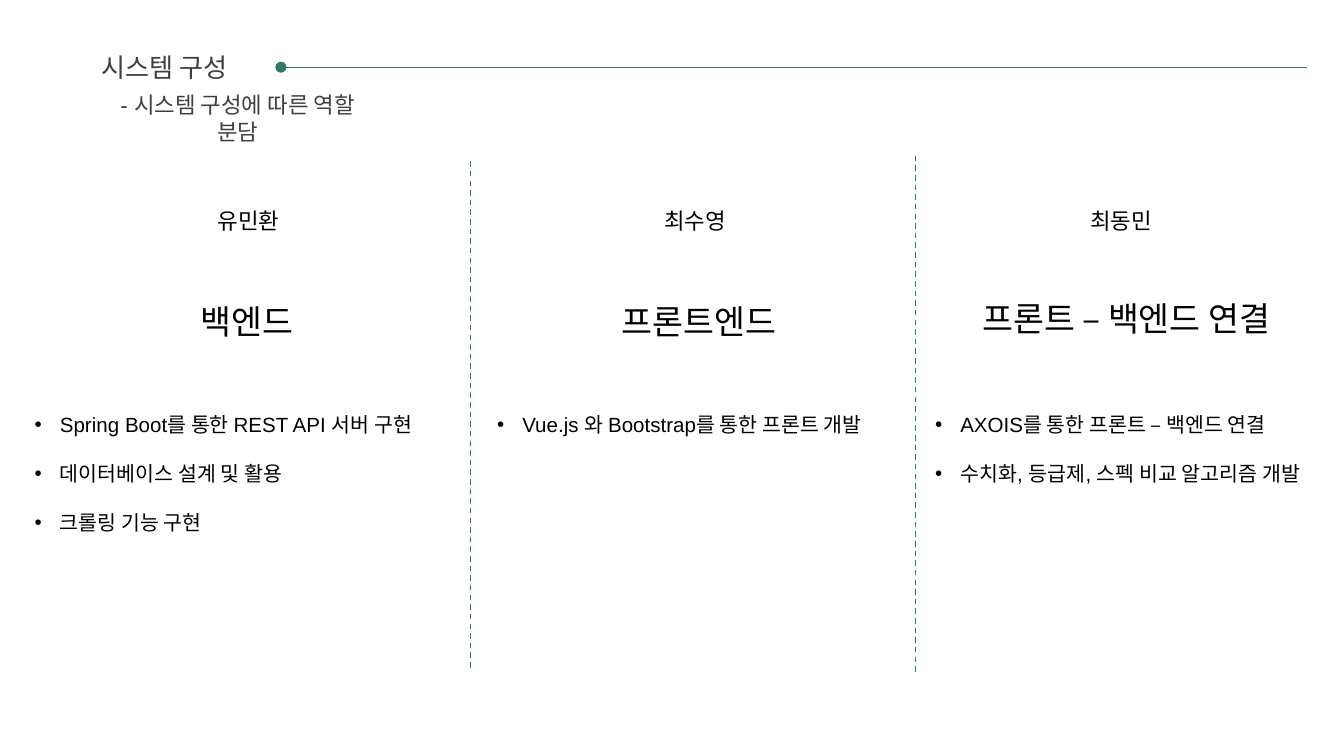
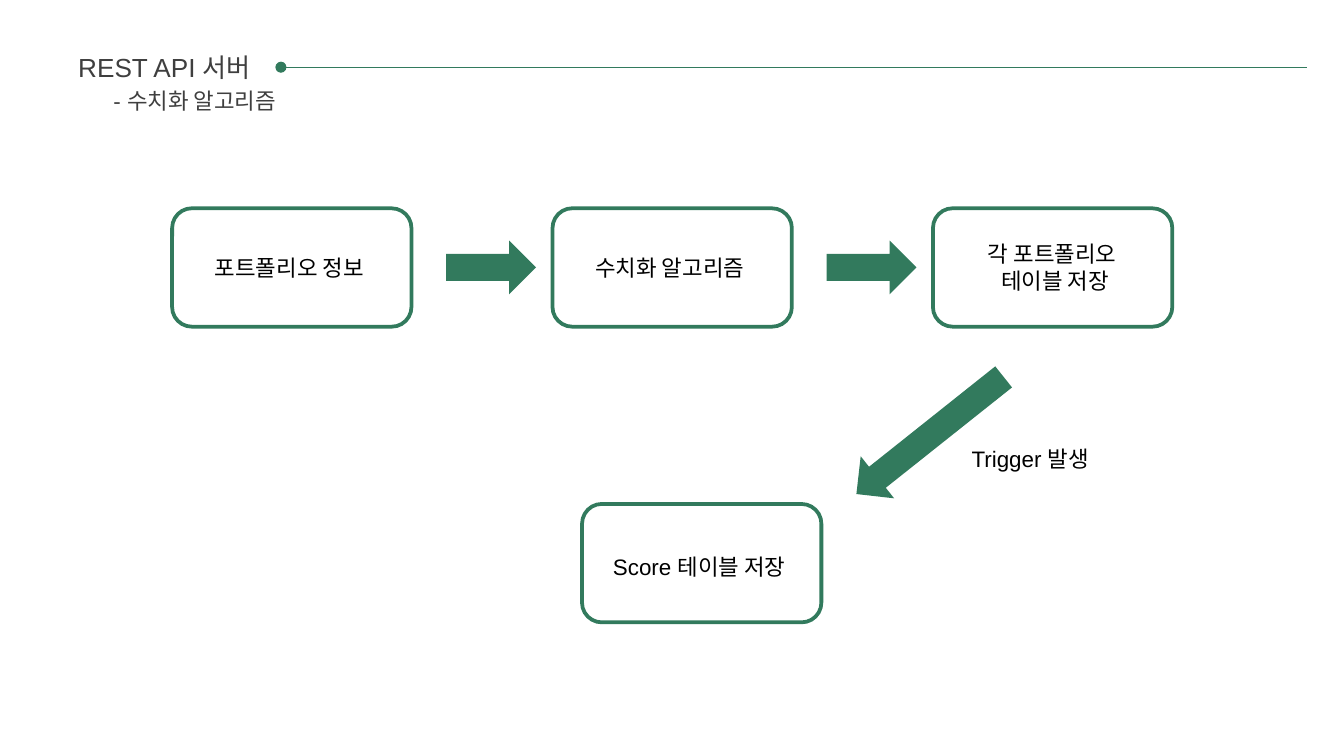
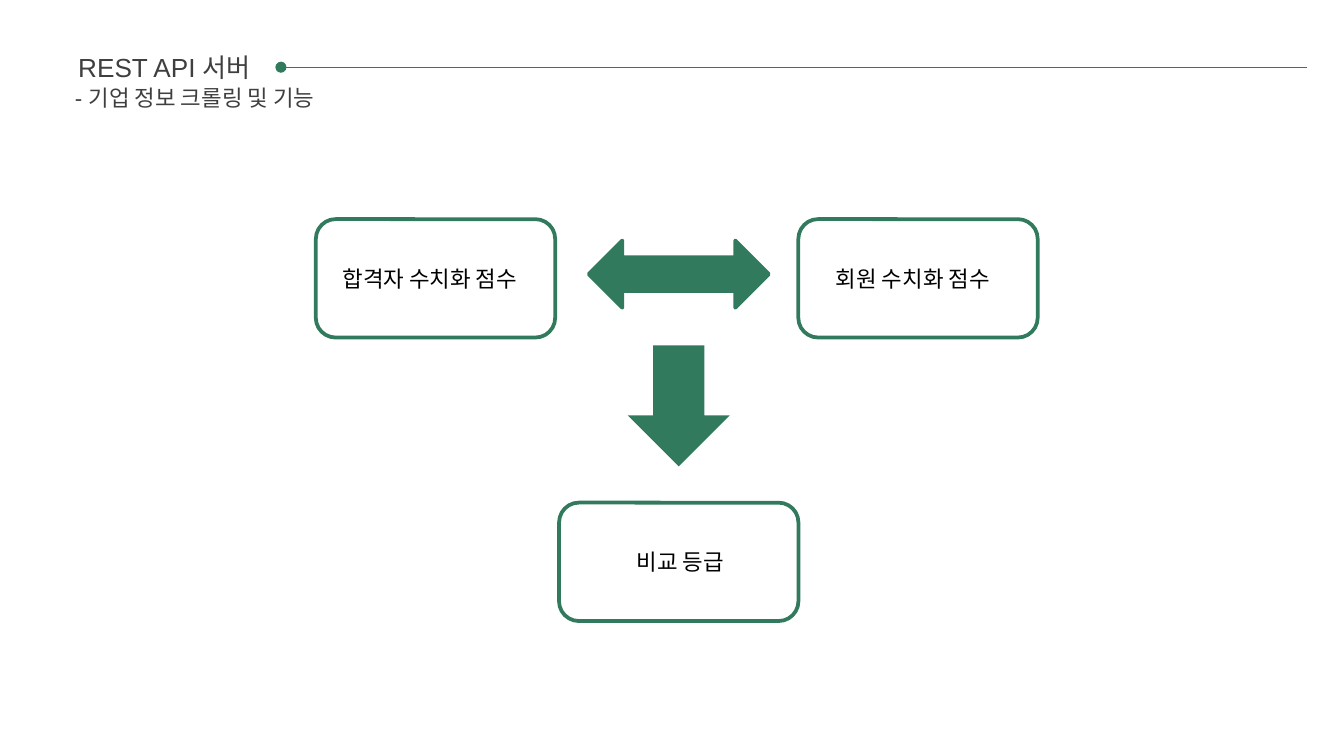
from dataclasses import dataclass

from pptx import Presentation
from pptx.dml.color import RGBColor as RGB
from pptx.enum.dml import MSO_LINE
from pptx.enum.shapes import MSO_CONNECTOR, MSO_SHAPE as SHAPE
from pptx.enum.text import MSO_ANCHOR, MSO_AUTO_SIZE, PP_ALIGN as ALIGN
from pptx.oxml.ns import qn
from pptx.util import Pt
from lxml.etree import SubElement


@dataclass(frozen=True)
class Theme:
    font: str = "Arial"
    green: RGB = RGB(0x32, 0x7A, 0x5D)
    heading: RGB = RGB(0x3F, 0x3F, 0x3F)
    ink: RGB = RGB(0, 0, 0)
    title: int = 14
    role: int = 18
    body: int = 12
    task: int = 11
    thin: float = 0.75
    thick: float = 2


T = Theme()

# Content: team roles; each part is placed by (left, top, width)
TEAM = {
    "title": "시스템 구성",
    "subtitle": ("- 시스템 구성에 따른 역할 분담", 48.2, 45.4),
    "dividers": [(252, 86.4, 358.6), (490.3, 83.5, 361.4)],
    "members": [
        dict(name="유민환", name_x=36.7, role="백엔드", role_at=(20.2, 157.7, 224),
             task_x=11.5, task_w=242.6,
             tasks=["Spring Boot를 통한 REST API 서버 구현",
                    "데이터베이스 설계 및 활용", "크롤링 기능 구현"]),
        dict(name="최수영", name_x=275.8, role="프론트엔드", role_at=(265.7, 157.7, 217.4),
             task_x=259.2, task_w=226.8,
             tasks=["Vue.js 와 Bootstrap를 통한 프론트 개발"]),
        dict(name="최동민", name_x=504, role="프론트 – 백엔드 연결",
             role_at=(490.3, 156.2, 226), task_x=493.9, task_w=232.6,
             tasks=["AXOIS를 통한 프론트 – 백엔드 연결",
                    "수치화, 등급제, 스펙 비교 알고리즘 개발"]),
    ],
}

# Content: flow diagrams
# node: left, top, label lines, label offset x and y, label width, line indents
# arrow: shape, left, top, width, height, rotation, outline
STEP_X, STEP_GAP, STEP_Y = 92.2, 203.8, 111.6
STEPS = [
    (["포트폴리오 정보"], 15.8, 20.9, 100, [0]),
    (["수치화 알고리즘"], 15.8, 20.9, 100, [0]),
    (["각 포트폴리오", "테이블 저장"], 19.4, 13.7, 126.7, [3, 10]),
]
FLOWS = [
    {
        "title": "REST API 서버",
        "subtitle": ("- 수치화 알고리즘", 25.2, 43.2),
        "nodes": [(STEP_X + i * STEP_GAP, STEP_Y, *step) for i, step in enumerate(STEPS)]
        + [(311.8, 270, ["Score 테이블 저장"], 6.5, 23, 126.7, [3])],
        "arrows": [(SHAPE.RIGHT_ARROW, 239 + i * STEP_GAP, 128.9, 48.2, 28.8, 0, False)
                   for i in range(len(STEPS) - 1)]
        + [(SHAPE.RIGHT_ARROW, 447.8, 218.9, 100.8, 28.8, 141.5, False)],
        "notes": [("Trigger 발생", 513.4, 234.7, 100)],
    },
    {
        "title": "REST API 서버",
        "subtitle": ("- 기업 정보 크롤링 및 기능", 25.2, 41.8),
        "nodes": [
            (169.2, 117.4, ["합격자 수치화 점수"], 7.2, 20.9, 115.2, [0]),
            (427.7, 117.4, ["회원 수치화 점수"], 13, 20.9, 115.2, [0]),
            (299.5, 269.3, ["비교 등급"], 34.6, 20.9, 115.2, [0]),
        ],
        "arrows": [
            (SHAPE.LEFT_RIGHT_ARROW, 315.4, 128.9, 96.5, 36, 0, True),
            (SHAPE.RIGHT_ARROW, 331.2, 190.1, 64.8, 54.7, 90, False),
        ],
        "notes": [],
    },
]
NODE_W, NODE_H = 128.2, 63.4
LINE_H = 21.6


# Text
def write(sp, lines, size=T.body, color=T.ink, align=ALIGN.LEFT,
          bullet=False, gap=0, indents=()):
    tf = sp.text_frame
    tf.word_wrap = True
    tf.auto_size = MSO_AUTO_SIZE.NONE
    tf.vertical_anchor = MSO_ANCHOR.TOP
    tf.margin_left = tf.margin_right = Pt(7.2)
    tf.margin_top = tf.margin_bottom = Pt(3.6)
    for i, line in enumerate(lines):
        p = tf.paragraphs[0] if i == 0 else tf.add_paragraph()
        p.alignment = align
        if i and gap:
            p.space_before = Pt(gap)
        pPr = p._p.get_or_add_pPr()
        if bullet:
            pPr.set("marL", str(Pt(13.5)))
            pPr.set("indent", str(Pt(-13.5)))
            SubElement(pPr, qn("a:buFont"), typeface=T.font)
            SubElement(pPr, qn("a:buChar"), char="•")
        elif indents:
            pPr.set("marL", str(Pt(indents[i])))
        r = p.add_run()
        r.text = line
        r.font.name, r.font.size, r.font.color.rgb = T.font, Pt(size), color


def add_text(s, lines, x, y, w, h=LINE_H, **fmt):
    write(s.shapes.add_textbox(Pt(x), Pt(y), Pt(w), Pt(h)), lines, **fmt)


# Lines and shapes
def add_line(s, x1, y1, x2, y2, dash=None, head=None):
    c = s.shapes.add_connector(MSO_CONNECTOR.STRAIGHT, Pt(x1), Pt(y1), Pt(x2), Pt(y2))
    c.line.color.rgb, c.line.width = T.green, Pt(T.thin)
    if dash:
        c.line.dash_style = dash
    if head:
        SubElement(c.line._get_or_add_ln(), qn("a:headEnd"), type=head)
    SubElement(c._element.spPr, qn("a:effectLst"))


def add_shape(s, kind, x, y, w, h, filled=True, outlined=True, rotation=0):
    sp = s.shapes.add_shape(kind, Pt(x), Pt(y), Pt(w), Pt(h))
    sp.shadow.inherit = False
    sp.rotation = rotation
    if filled:
        sp.fill.solid()
        sp.fill.fore_color.rgb = T.green
    else:
        sp.fill.background()
    if outlined:
        sp.line.color.rgb, sp.line.width = T.green, Pt(T.thick)
    else:
        sp.line.fill.background()


# Slides
def add_slide(prs, title, subtitle):
    s = prs.slides.add_slide(prs.slide_layouts[5])
    add_line(s, 150.5, 36, 700, 36, head="oval")
    sp = s.shapes.title
    sp.left, sp.top, sp.width, sp.height = Pt(14.4), Pt(23.8), Pt(147.6), Pt(24.5)
    write(sp, [title], size=T.title, color=T.heading, align=ALIGN.CENTER)
    text, x, y = subtitle
    add_text(s, [text], x, y, 158.4, color=T.heading, align=ALIGN.CENTER)
    return s


def team_slide(prs, team):
    s = add_slide(prs, team["title"], team["subtitle"])
    for x, top, bottom in team["dividers"]:
        add_line(s, x, top, x, bottom, dash=MSO_LINE.DASH)
    for m in team["members"]:
        add_text(s, [m["name"]], m["name_x"], 107.3, 193, align=ALIGN.CENTER)
        add_text(s, [m["role"]], *m["role_at"], 28.8, size=T.role, align=ALIGN.CENTER)
        add_text(s, m["tasks"], m["task_x"], 217.4, m["task_w"],
                 21 + 40 * (len(m["tasks"]) - 1), size=T.task, bullet=True, gap=13)


def flow_slide(prs, flow):
    s = add_slide(prs, flow["title"], flow["subtitle"])
    for x, y, lines, dx, dy, w, indents in flow["nodes"]:
        add_shape(s, SHAPE.ROUNDED_RECTANGLE, x, y, NODE_W, NODE_H, filled=False)
        add_text(s, lines, x + dx, y + dy, w, 7.2 + 14.4 * len(lines), indents=indents)
    for kind, x, y, w, h, rotation, outlined in flow["arrows"]:
        add_shape(s, kind, x, y, w, h, outlined=outlined, rotation=rotation)
    for text, x, y, w in flow["notes"]:
        add_text(s, [text], x, y, w)


def main():
    prs = Presentation()
    prs.slide_width, prs.slide_height = Pt(720), Pt(405)
    team_slide(prs, TEAM)
    for flow in FLOWS:
        flow_slide(prs, flow)
    prs.save("out.pptx")


if __name__ == "__main__":
    main()
